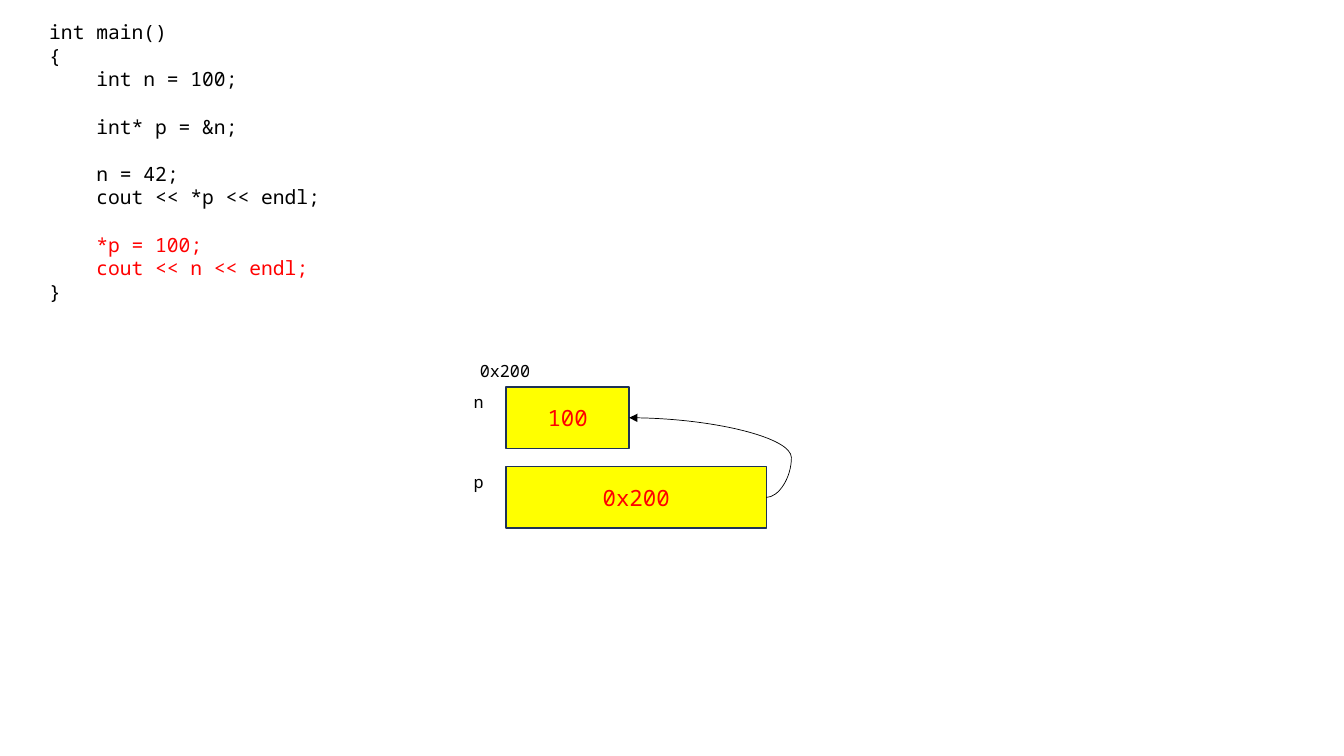
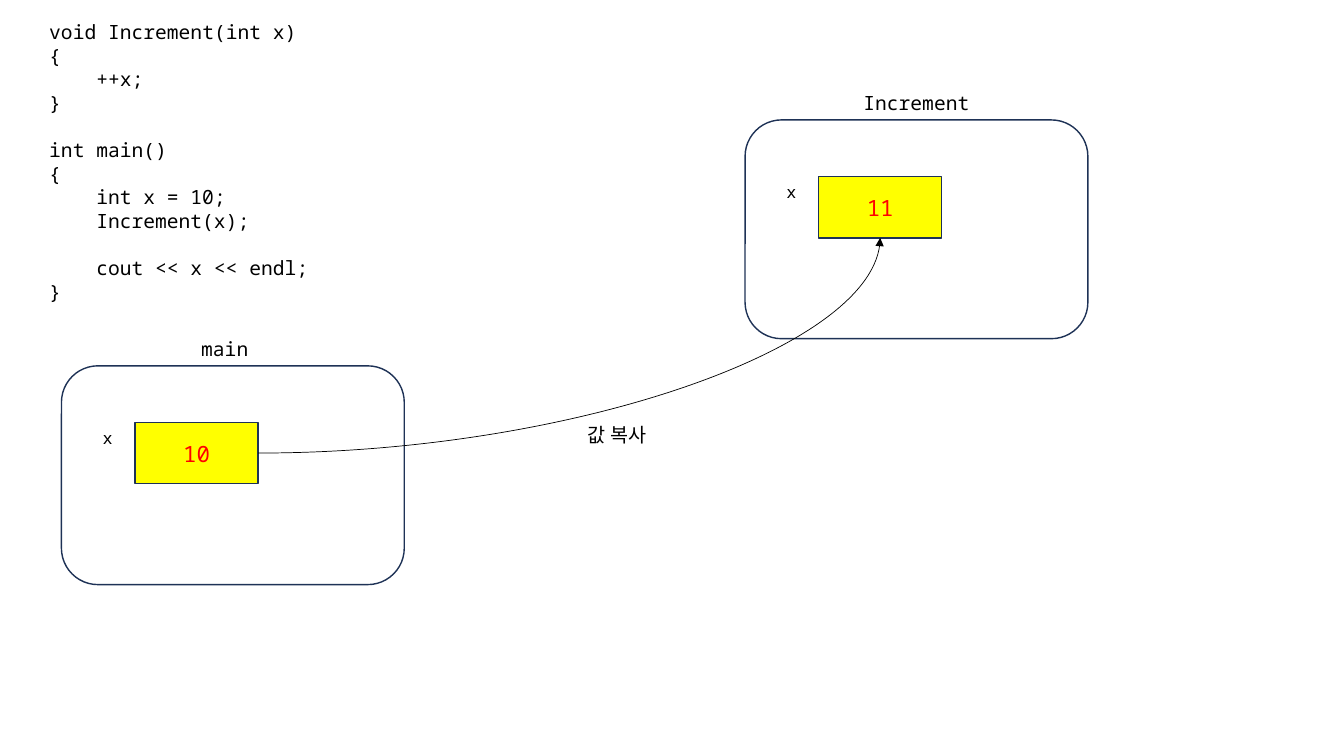
from lxml import etree
from pptx import Presentation
from pptx.dml.color import RGBColor
from pptx.enum.shapes import MSO_CONNECTOR, MSO_SHAPE
from pptx.enum.text import MSO_ANCHOR, PP_ALIGN
from pptx.oxml.ns import qn
from pptx.util import Inches, Pt

BLACK = RGBColor(0x00, 0x00, 0x00)
RED = RGBColor(0xFF, 0x00, 0x00)
YELLOW = RGBColor(0xFF, 0xFF, 0x00)
WHITE = RGBColor(0xFF, 0xFF, 0xFF)
NAVY = RGBColor(0x1E, 0x32, 0x56)
FONT = "Noto Sans Mono"

CODE_SIZE, NAME_SIZE, VALUE_SIZE = 14, 12, 16
CODE_LINE = Pt(17)
CODE_INDENT = Pt(33.6)
CODE_AREA = (0.39, 0.15, 6.67, 2.93)
CELL_W, CELL_H, WIDE_W = 1.22, 0.61, 2.58
NAME_W, NAME_H, TITLE_H = 0.42, 0.3, 0.34
FRAME_W, FRAME_H = 3.4, 2.17
CELL_DX, CELL_DY = 0.73, 0.56
BOTTOM, RIGHT = 2, 3

GAP = None
POINTER_CODE = [
    (0, "int main()"), (0, "{"),
    (1, "int n = 100;"), GAP,
    (1, "int* p = &n;"), GAP,
    (1, "n = 42;"), (1, "cout << *p << endl;"), GAP,
    (1, "*p = 100;", RED), (1, "cout << n << endl;", RED),
    (0, "}"),
]
COPY_CODE = [
    (0, "void Increment(int x)"), (0, "{"), (1, "++x;"), (0, "}"), GAP,
    (0, "int main()"), (0, "{"),
    (1, "int x = 10;"), (1, "Increment(x);"), GAP,
    (1, "cout << x << endl;"), (0, "}"),
]
VARIABLES = [("n", "100", CELL_W), ("p", "0x200", WIDE_W)]
VARIABLES_X, VARIABLES_Y, ROW_PITCH = 5.02, 3.84, 0.79
CALLS = [
    ("main", "10", 0.61, 3.63, 1.81, 0.84),
    ("Increment", "11", 7.39, 1.19, 8.36, 1.46),
]


def write(p, text, size=CODE_SIZE, color=BLACK, align=PP_ALIGN.LEFT):
    p.alignment = align
    r = p.add_run()
    r.text = text
    r.font.name = FONT
    r.font.size = Pt(size)
    r.font.color.rgb = color


def add_box(s, x, y, w, h):
    tf = s.shapes.add_textbox(*map(Inches, (x, y, w, h))).text_frame
    tf.word_wrap = True
    return tf


def add_label(s, text, x, y, w, h, **style):
    write(add_box(s, x, y, w, h).paragraphs[0], text, **style)


def add_code(s, lines):
    tf = add_box(s, *CODE_AREA)
    p, after_gap = tf.paragraphs[0], False
    for i, line in enumerate(lines):
        if line is GAP:
            after_gap = True
            continue
        level, text, *color = line
        if i:
            p = tf.add_paragraph()
        write(p, text, color=color[0] if color else BLACK)
        if level:
            p._p.get_or_add_pPr().set("marL", str(level * CODE_INDENT))
        if after_gap:
            p.space_before = CODE_LINE
        after_gap = False


def add_block(s, kind, x, y, w, h, fill):
    sp = s.shapes.add_shape(kind, *map(Inches, (x, y, w, h)))
    sp.shadow.inherit = False
    sp.fill.solid()
    sp.fill.fore_color.rgb = fill
    sp.line.color.rgb = NAVY
    sp.line.width = Pt(1)
    return sp


def add_variable(s, name, value, x, y, w=CELL_W):
    sp = add_block(s, MSO_SHAPE.RECTANGLE, x, y, w, CELL_H, YELLOW)
    sp.text_frame.vertical_anchor = MSO_ANCHOR.MIDDLE
    write(sp.text_frame.paragraphs[0], value, size=VALUE_SIZE, color=RED,
          align=PP_ALIGN.CENTER)
    add_label(s, name, x - NAME_W, y, NAME_W, NAME_H, size=NAME_SIZE)
    return sp


def add_arrow(s, source, target, target_site, preset, adjust=None):
    c = s.shapes.add_connector(MSO_CONNECTOR.CURVE, 0, 0, 0, 0)
    c.begin_connect(source, RIGHT)
    c.end_connect(target, target_site)
    c.line.color.rgb = BLACK
    c.line.width = Pt(0.5)
    etree.SubElement(c.line._get_or_add_ln(), qn("a:tailEnd"), type="triangle")
    spPr = c._element.spPr
    etree.SubElement(spPr, qn("a:effectLst"))
    geom = spPr.find(qn("a:prstGeom"))
    geom.set("prst", preset)
    if adjust is not None:
        etree.SubElement(geom.find(qn("a:avLst")), qn("a:gd"),
                         name="adj1", fmla=f"val {adjust}")


def build_pointer(s):
    add_code(s, POINTER_CODE)
    n, p = [add_variable(s, name, value, VARIABLES_X, VARIABLES_Y + i * ROW_PITCH, w)
            for i, (name, value, w) in enumerate(VARIABLES)]
    add_label(s, "0x200", 4.66, 3.53, 0.82, NAME_H, size=NAME_SIZE)
    add_arrow(s, p, n, RIGHT, "curvedConnector3", -18400)


def build_copy(s):
    add_code(s, COPY_CODE)
    cells = []
    for title, value, x, y, title_x, title_w in CALLS:
        add_block(s, MSO_SHAPE.ROUNDED_RECTANGLE, x, y, FRAME_W, FRAME_H, WHITE)
        cells.append(add_variable(s, "x", value, x + CELL_DX, y + CELL_DY))
        add_label(s, title, title_x, y - TITLE_H, title_w, TITLE_H,
                  align=PP_ALIGN.CENTER)
    add_arrow(s, *cells, BOTTOM, "curvedConnector2")
    add_label(s, "값 복사", 5.65, 4.15, 0.94, TITLE_H, align=PP_ALIGN.CENTER)


def main():
    prs = Presentation()
    prs.slide_width, prs.slide_height = Inches(13.33), Inches(7.5)
    for build in (build_pointer, build_copy):
        build(prs.slides.add_slide(prs.slide_layouts[6]))
    prs.save("out.pptx")


if __name__ == "__main__":
    main()
